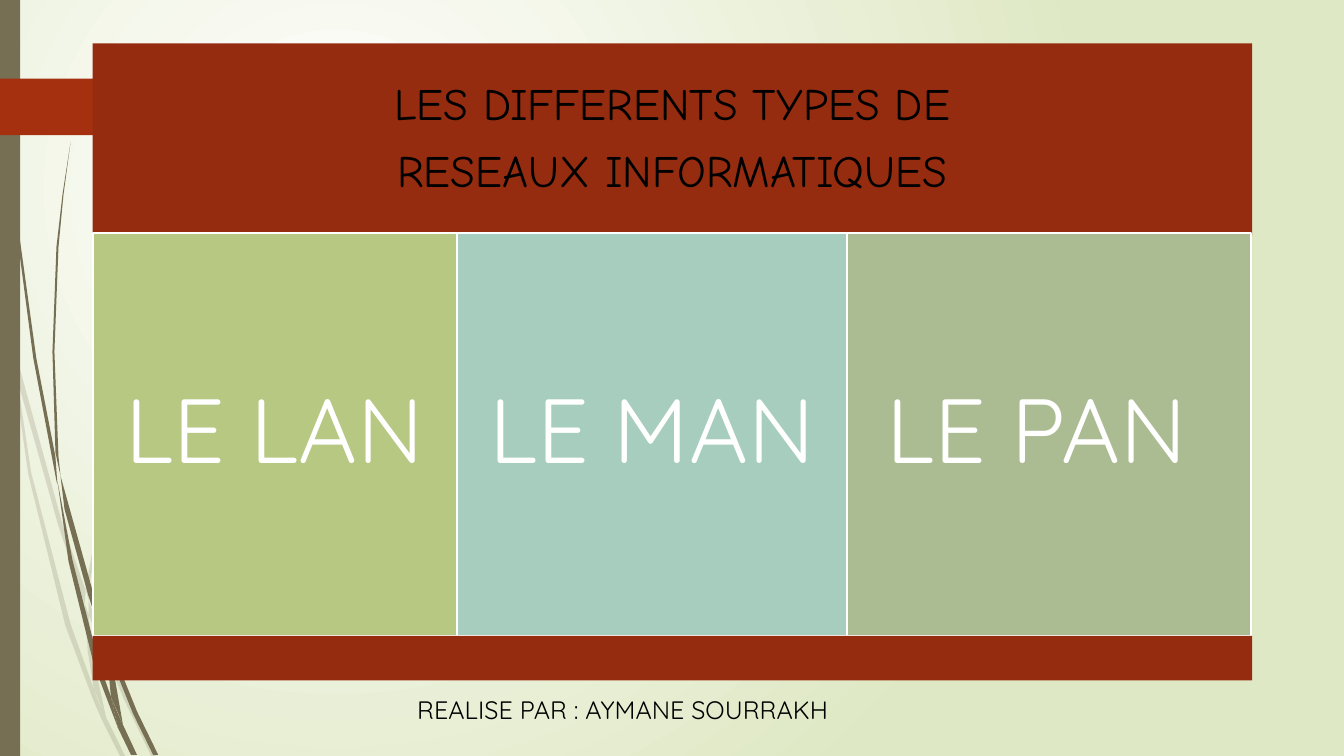
from dataclasses import dataclass

from pptx import Presentation
from pptx.dml.color import RGBColor as Rgb
from pptx.enum.shapes import MSO_SHAPE as Kind
from pptx.enum.text import MSO_ANCHOR as Anchor, PP_ALIGN as Align
from pptx.oxml import parse_xml
from pptx.oxml.ns import nsdecls, qn
from pptx.util import Emu, Pt

PX = 9144
WIDE, HIGH = 1333, 750


@dataclass(frozen=True)
class Theme:
    """Colours, fonts and type sizes of the slide."""
    pale: str = "FFFFFF"
    lime: str = "DFE8C4"
    stem: str = "766F54"
    flag: str = "A53010"
    rust: str = "962C0F"
    moss: str = "B6C882"
    mint: str = "A6CDBD"
    sage: str = "ACBC92"
    ink: str = "000000"
    hand: str = "Comic Neue"
    sans: str = "Quicksand"
    head: int = 32
    big: int = 65
    note: int = 18
    edge: float = 1.25


LOOK = Theme()

FAINT = (
    "11 350 9 322 0 282 0 299 10 344",
    "58 522 84 599 85 586 62 520 14 345 17 376",
    "92 607 88 596 88 610 123 694 150 750 155 750 127 692",
    "93 683 70 619 31 469 17 376 11 350 28 470 65 621 92 693 101 714 99 707",
    "84 599 87 646 93 683 105 711 91 646 88 610",
    "88 584 110 462 160 349 229 245 312 153 228 244 158 348 107 461 85 584 88 596",
    "96 692 93 683 101 714 119 750 124 750 105 711",
)
BOLD = (
    "7 110 17 233 33 355 56 477 57 481 55 453 36 355 19 232 8 109 4 0 3 0",
    "88 592 106 645 106 631 93 590 60 472 64 505",
    "113 649 110 641 111 656 132 708 152 749 157 749 136 706",
    "110 691 98 657 72 556 57 477 68 557 93 659 117 722",
    "60 472 58 453 54 349 58 245 63 193 70 141 62 193 56 245 52 349 55 449",
    "106 645 110 691 122 719 111 656",
    "116 706 110 691 117 722 130 749 136 749 122 719",
)


def paint(shape, tone, edge=None):
    """Fill a shape and set or clear its outline."""
    shape.shadow.inherit = False
    shape.fill.solid()
    shape.fill.fore_color.rgb = Rgb.from_string(tone)
    if edge:
        shape.line.color.rgb = Rgb.from_string(edge)
        shape.line.width = Pt(LOOK.edge)
    else:
        shape.line.fill.background()
    return shape


def block(slide, box, tone, kind=Kind.RECTANGLE, edge=None):
    """Add a preset shape in the given box."""
    return paint(slide.shapes.add_shape(kind, *(Emu(v * PX) for v in box)), tone, edge)


def write(shape, text, font, size, tone, align=Align.LEFT, anchor=Anchor.TOP, pad=None, lead=1, gap=0):
    """Write lines of text into a shape with one format."""
    frame = shape.text_frame
    frame.word_wrap = True
    frame.vertical_anchor = anchor
    if pad is not None:
        frame.margin_left = frame.margin_right = Emu(pad * PX)
        frame.margin_top = frame.margin_bottom = Emu(pad * PX)
    for i, line in enumerate(text.split("\n")):
        para = frame.add_paragraph() if i else frame.paragraphs[0]
        para.alignment, para.line_spacing, para.space_after = align, lead, Pt(gap)
        run = para.add_run()
        run.text = line
        run.font.name, run.font.size = font, Pt(size)
        run.font.color.rgb = Rgb.from_string(tone)


def grass(slide, box, strands, alpha=None):
    """Draw tapering strands from the corner of the box."""
    left, top = box[:2]
    for data in strands:
        nums = [int(n) for n in data.split()]
        dots = [(left + x, top + y) for x, y in zip(nums[::2], nums[1::2])]
        pen = slide.shapes.build_freeform(*dots[0], scale=PX)
        pen.add_line_segments(dots[1:], close=True)
        blade = paint(pen.convert_to_shape(), LOOK.stem)
        if alpha:
            tint = blade.element.find(".//" + qn("a:srgbClr"))
            tint.append(parse_xml(f'<a:alpha {nsdecls("a")} val="{alpha * 1000}"/>'))


def ground(slide):
    """Set the round gradient behind the slide."""
    stops = "".join(f'<a:gs pos="{pos}"><a:srgbClr val="{tone}"/></a:gs>'
                    for pos, tone in ((0, LOOK.pale), (100000, LOOK.lime)))
    slide.element.cSld.insert(0, parse_xml(
        f'<p:bg {nsdecls("p", "a")}><p:bgPr><a:gradFill rotWithShape="1"><a:gsLst>{stops}</a:gsLst>'
        '<a:path path="circle"><a:fillToRect l="50000" t="50000" r="100000" b="100000"/></a:path>'
        '</a:gradFill><a:effectLst/></p:bgPr></p:bg>'))


def decor(slide, box):
    """Draw the grass, the side bar and the flag."""
    left, top, _, high = box
    grass(slide, box, FAINT, alpha=20)
    grass(slide, box, BOLD)
    block(slide, (left, top, 20, high), LOOK.stem)
    block(slide, (left, top + 78, 174, 56), LOOK.flag, Kind.PENTAGON)


def board(slide, box):
    """Draw the title band, the three network panels and the foot band."""
    left, top, wide, high = box
    mid = dict(align=Align.CENTER, anchor=Anchor.MIDDLE, lead=0.9)
    band = block(slide, (left, top, wide, 191), LOOK.rust)
    write(band, "LES DIFFERENTS TYPES DE\nRESEAUX INFORMATIQUES", LOOK.hand, LOOK.head, LOOK.ink,
          pad=13, gap=13, **mid)
    x, foot = left, 44
    panels = (("LE LAN", 361, LOOK.moss), ("LE MAN ", 387, LOOK.mint), ("LE PAN ", 401, LOOK.sage))
    for name, span, tone in panels:
        panel = block(slide, (x, top + 188, span, 400), tone, edge=LOOK.pale)
        write(panel, name, LOOK.sans, LOOK.big, LOOK.pale, pad=27, gap=26, **mid)
        x += span
    block(slide, (left, top + high - foot, wide, foot), LOOK.rust)


def credit(slide, box):
    """Write the author line."""
    area = slide.shapes.add_textbox(*(Emu(v * PX) for v in box))
    write(area, "REALISE PAR : AYMANE SOURRAKH", LOOK.sans, LOOK.note, LOOK.ink)


def main():
    """Build and save the slide."""
    deck = Presentation()
    deck.slide_width, deck.slide_height = Emu(WIDE * PX), Emu(HIGH * PX)
    slide = deck.slides.add_slide(deck.slide_layouts[6])
    ground(slide)
    decor(slide, (0, 0, WIDE, HIGH))
    board(slide, (92, 43, 1150, 632))
    credit(slide, (404, 684, 433, 40))
    deck.save("out.pptx")


if __name__ == "__main__":
    main()
